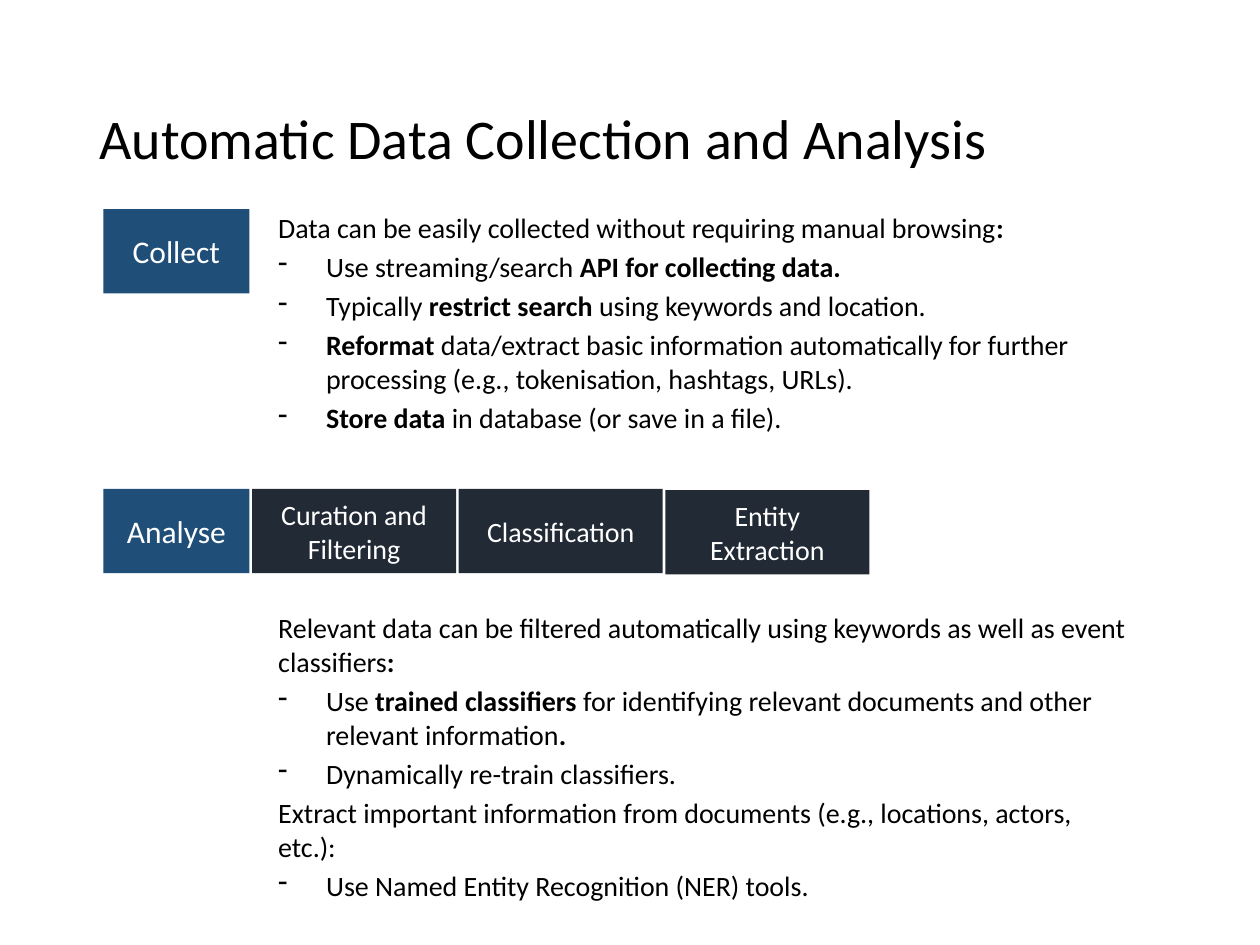
import pptx
import pptx.util
import pptx.dml.color
import pptx.enum.shapes
import pptx.enum.text
import pptx.oxml.ns
from lxml import etree

Inches = pptx.util.Inches
Pt = pptx.util.Pt
RGBColor = pptx.dml.color.RGBColor
MIDDLE = pptx.enum.text.MSO_ANCHOR.MIDDLE

BLACK = RGBColor(0x00, 0x00, 0x00)
WHITE = RGBColor(0xFF, 0xFF, 0xFF)
BLUE = RGBColor(0x1F, 0x4E, 0x79)
NAVY = RGBColor(0x22, 0x2A, 0x35)
FONT = "Calibri"

TITLE = "Automatic Data Collection and Analysis"
BOLD_MARK = "**"
BULLET_MARK = "- "
COLLECT_TEXT = [
    "Data can be easily collected without requiring manual browsing**:**",
    "- Use streaming/search **API for collecting data.**",
    "- Typically** restrict search **using keywords and location.",
    "- **Reformat **data/extract basic information automatically for further "
    "processing (e.g., tokenisation, hashtags, URLs).",
    "- **Store data **in database (or save in a file).",
]
ANALYSE_TEXT = [
    "Relevant data can be filtered automatically using keywords as well as event classifiers**:**",
    "- Use **trained classifiers **for identifying relevant documents and other "
    "relevant information**.**",
    "- Dynamically re-train classifiers.",
    "Extract important information from documents (e.g., locations, actors, etc.):",
    "- Use Named Entity Recognition (NER) tools.",
]
STAGES = [("Collect", 1.66), ("Analyse", 3.88)]
STEPS = [("Curation and Filtering", 3.88), ("Classification", 3.88), ("Entity Extraction", 3.89)]

STAGE_LEFT, STAGE_WIDTH = 0.82, 1.16
STEP_WIDTH, BOX_HEIGHT, GAP = 1.62, 0.67, 0.02
INDENT = Inches(0.38)


def set_font(paragraph, size, color):
    paragraph.font.name = FONT
    paragraph.font.size = Pt(size)
    paragraph.font.color.rgb = color


def add_text_box(slide, left, top, width, height):
    box = slide.shapes.add_textbox(Inches(left), Inches(top), Inches(width), Inches(height))
    box.text_frame.word_wrap = True
    return box.text_frame


def add_bullet(paragraph):
    properties = paragraph._p.get_or_add_pPr()
    properties.set("marL", str(INDENT))
    properties.set("indent", str(-INDENT))
    bullet = etree.SubElement(properties, pptx.oxml.ns.qn("a:buChar"))
    bullet.set("char", "-")


def add_body(slide, lines, top, height):
    frame = add_text_box(slide, 2.11, top, 6.95, height)
    for index, line in enumerate(lines):
        paragraph = frame.paragraphs[0] if index == 0 else frame.add_paragraph()
        if line.startswith(BULLET_MARK):
            add_bullet(paragraph)
        if index > 0:
            paragraph.space_before = Pt(3.2)
        set_font(paragraph, 16, BLACK)
        for position, part in enumerate(line.removeprefix(BULLET_MARK).split(BOLD_MARK)):
            if part:
                run = paragraph.add_run()
                run.text = part
                run.font.bold = position % 2 == 1


def add_block(slide, label, left, top, width, color, size):
    block = slide.shapes.add_shape(
        pptx.enum.shapes.MSO_SHAPE.RECTANGLE,
        Inches(left), Inches(top), Inches(width), Inches(BOX_HEIGHT))
    block.shadow.inherit = False
    block.fill.solid()
    block.fill.fore_color.rgb = color
    block.line.fill.background()
    frame = block.text_frame
    frame.word_wrap = True
    frame.vertical_anchor = MIDDLE
    paragraph = frame.paragraphs[0]
    paragraph.text = label
    paragraph.alignment = pptx.enum.text.PP_ALIGN.CENTER
    set_font(paragraph, size, WHITE)


def main():
    presentation = pptx.Presentation()
    presentation.slide_width = Inches(10)
    presentation.slide_height = Inches(7.5)
    slide = presentation.slides.add_slide(presentation.slide_layouts[6])

    title_frame = add_text_box(slide, 0.69, 0.4, 8.62, 1.45)
    title_frame.vertical_anchor = MIDDLE
    title = title_frame.paragraphs[0]
    title.text = TITLE
    title.line_spacing = 0.9
    set_font(title, 32, BLACK)

    add_body(slide, COLLECT_TEXT, 1.62, 4.62)
    add_body(slide, ANALYSE_TEXT, 4.8, 2.37)

    for label, top in STAGES:
        add_block(slide, label, STAGE_LEFT, top, STAGE_WIDTH, BLUE, 18)
    first_step = STAGE_LEFT + STAGE_WIDTH + GAP
    for index, (label, top) in enumerate(STEPS):
        left = first_step + index * (STEP_WIDTH + GAP)
        add_block(slide, label, left, top, STEP_WIDTH, NAVY, 16)

    presentation.save("out.pptx")


if __name__ == "__main__":
    main()
